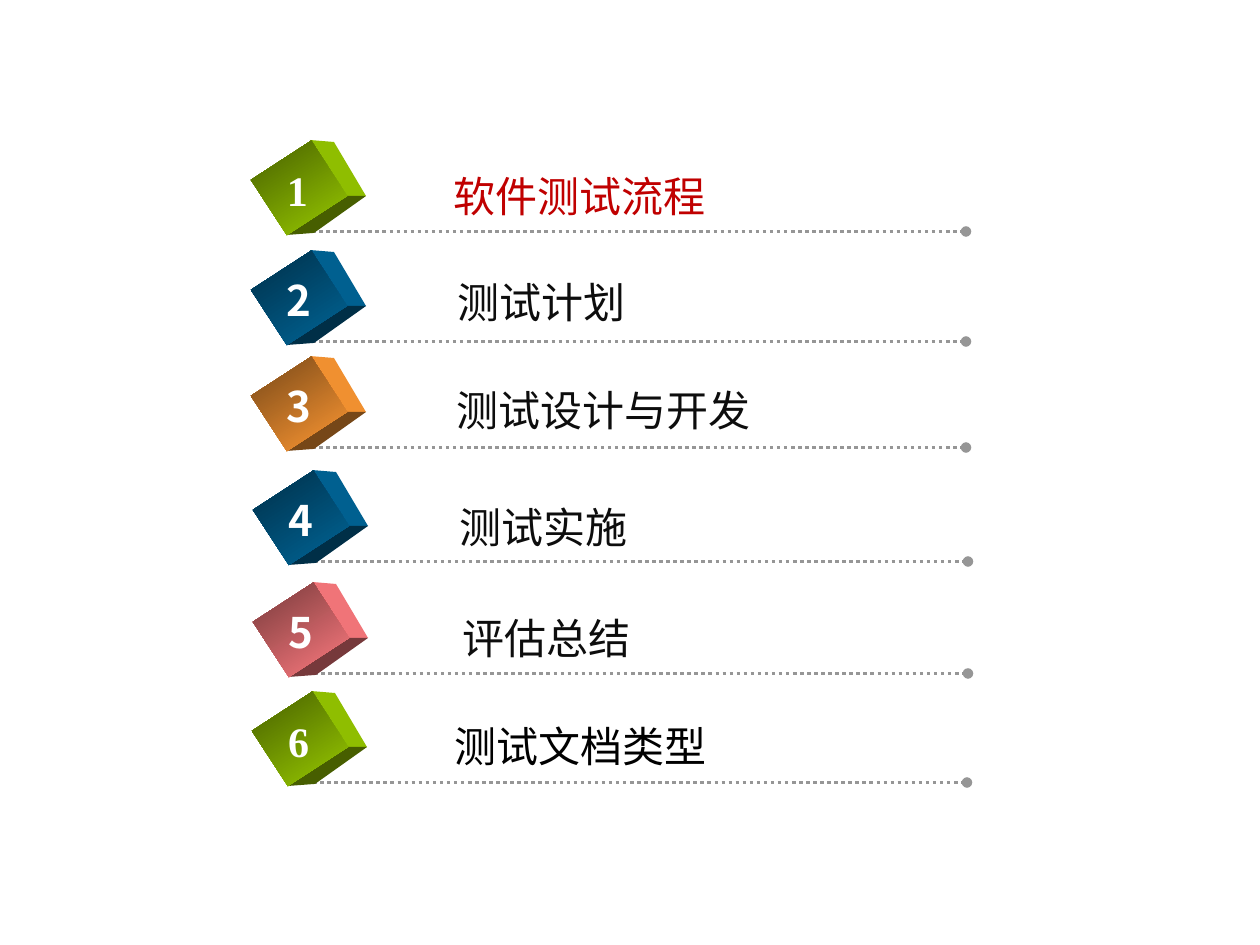
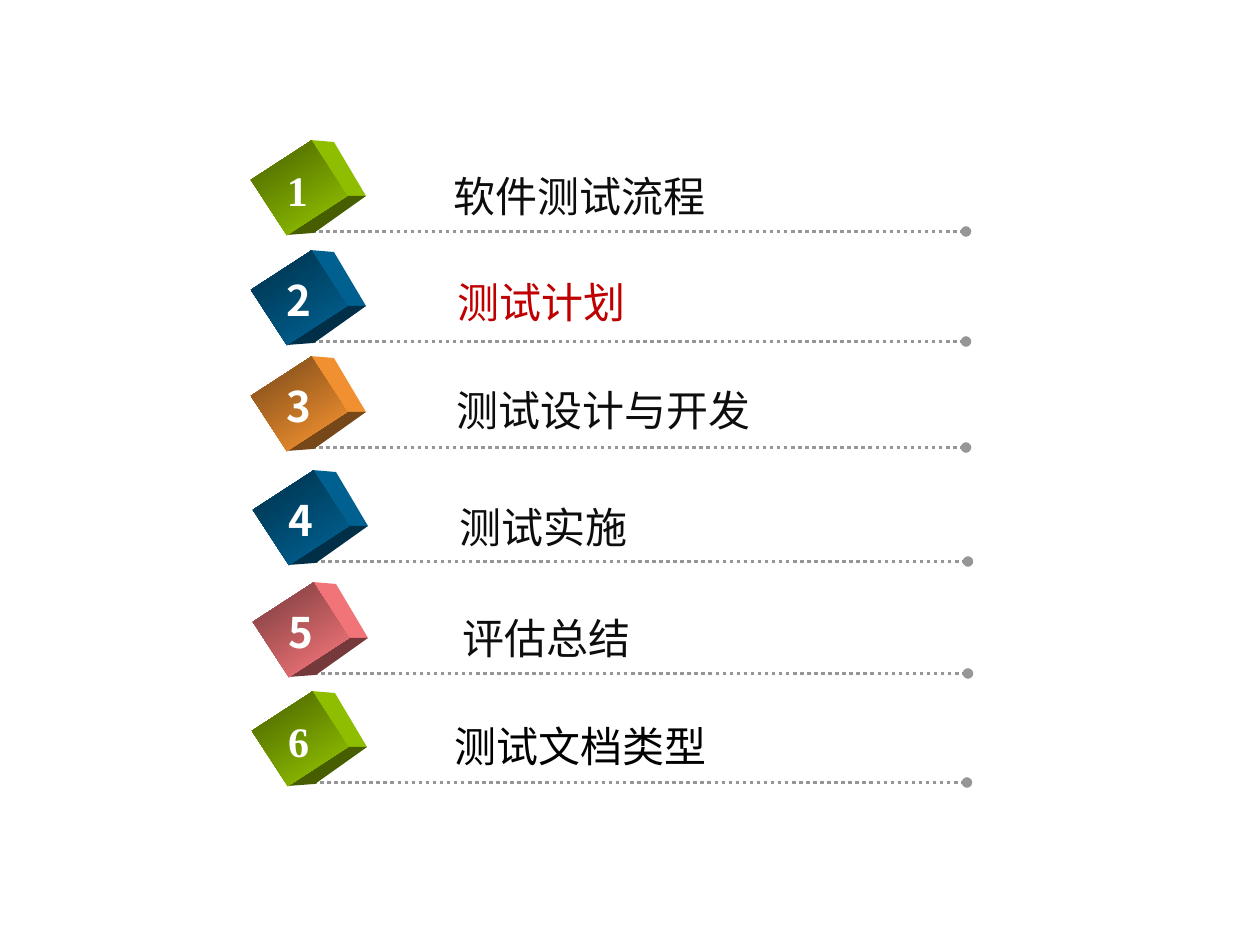
import dataclasses

import pptx
import pptx.dml.color
import pptx.enum.dml
import pptx.enum.shapes
import pptx.enum.text
import pptx.oxml
import pptx.oxml.ns
import pptx.util

EMU_PER_PX = 914400 / 126


@dataclasses.dataclass(frozen=True)
class Theme:
    white: str = "FFFFFF"
    ink: str = "0D0D0D"
    black: str = "000000"
    highlight: str = "C00000"
    rule: str = "969696"
    sans: str = "Noto Sans CJK SC"
    serif: str = "Times New Roman"
    text_size: int = 24
    rule_width: int = 2


@dataclasses.dataclass(frozen=True)
class CubePaint:
    light: str
    side: str
    dark: str


@dataclasses.dataclass(frozen=True)
class AgendaItem:
    """One chapter; label_shift is measured from the row's corner."""
    title: str
    corner: tuple
    label_shift: tuple
    paint: CubePaint
    number_font: str
    ink: str


THEME = Theme()
GREEN = CubePaint("99CC00", "8FBE00", "475E00")
BLUE = CubePaint("006699", "006090", "002F47")
ORANGE = CubePaint("FF9933", "F09030", "764718")
PINK = CubePaint("FF7C80", "F07478", "76393B")

AGENDA = [
    AgendaItem("软件测试流程", (266, 152), (175, 12), GREEN, THEME.serif, THEME.ink),
    AgendaItem("测试计划", (266, 262), (179, 8), BLUE, THEME.sans, THEME.ink),
    AgendaItem("测试设计与开发", (266, 368), (178, 10), ORANGE, THEME.sans, THEME.ink),
    AgendaItem("测试实施", (268, 482), (179, 13), BLUE, THEME.sans, THEME.ink),
    AgendaItem("评估总结", (268, 594), (182, 12), PINK, THEME.sans, THEME.ink),
    AgendaItem("测试文档类型", (267, 703), (175, 11), GREEN, THEME.serif, THEME.black),
]

CUBE_WIDTH, CUBE_HEIGHT, CUBE_ROTATION = 66, 72, 57
CUBE_RIGHT_FACE = [(44, -12), (68, -10), (100, 44), (80, 44)]
CUBE_BOTTOM_FACE = [(80, 44), (100, 44), (48, 81), (21, 83)]
CHARACTER_WIDTH, TEXT_MARGINS, TEXT_HEIGHT = 42, 27, 64


def px(*lengths):
    return [pptx.util.Emu(round(length * EMU_PER_PX)) for length in lengths]


def rgb(color):
    return pptx.dml.color.RGBColor.from_string(color)


def paint_plain(shape, color):
    shape.shadow.inherit = False
    shape.fill.solid()
    shape.fill.fore_color.rgb = rgb(color)
    shape.line.fill.background()


def add_text(shapes, text, box, font_name, color, bold=False, centred=False):
    frame = shapes.add_textbox(*px(*box)).text_frame
    frame.word_wrap = False
    frame.auto_size = pptx.enum.text.MSO_AUTO_SIZE.SHAPE_TO_FIT_TEXT
    paragraph = frame.paragraphs[0]
    if centred:
        paragraph.alignment = pptx.enum.text.PP_ALIGN.CENTER
    run = paragraph.add_run()
    run.text = text
    run.font.size = pptx.util.Pt(THEME.text_size)
    run.font.bold = bold
    run.font.color.rgb = rgb(color)
    run.font.name = font_name
    east_asian = pptx.oxml.ns.qn("a:ea")
    run.font._element.makeelement(east_asian)
    pptx.oxml.xmlchemy.OxmlElement("a:ea")
    element = pptx.oxml.xmlchemy.OxmlElement("a:ea")
    element.set("typeface", font_name)
    run.font._element.append(element)


def add_rule(shapes, left, top):
    """Dotted line from the cube's foot, ending in a dot."""
    start_x, start_y, end_x, end_y = px(left + 39, top + 79.5, left + 700, top + 79.5)
    connector = shapes.add_connector(
        pptx.enum.shapes.MSO_CONNECTOR.STRAIGHT, start_x, start_y, end_x, end_y)
    connector.line.color.rgb = rgb(THEME.rule)
    connector.line.width = pptx.util.Pt(THEME.rule_width)
    connector.line.dash_style = pptx.enum.dml.MSO_LINE.ROUND_DOT
    tail = pptx.oxml.xmlchemy.OxmlElement("a:tailEnd")
    tail.set("type", "oval")
    connector.line._get_or_add_ln().append(tail)
    connector._element.spPr.append(pptx.oxml.xmlchemy.OxmlElement("a:effectLst"))


def add_face(shapes, left, top, corners, color):
    points = [(left + x, top + y) for x, y in corners]
    builder = shapes.build_freeform(*points[0], scale=EMU_PER_PX)
    builder.add_line_segments(points[1:], close=True)
    paint_plain(builder.convert_to_shape(), color)


def add_cube(shapes, left, top, paint):
    add_face(shapes, left, top, CUBE_RIGHT_FACE, paint.side)
    add_face(shapes, left, top, CUBE_BOTTOM_FACE, paint.dark)
    front = shapes.add_shape(pptx.enum.shapes.MSO_SHAPE.RECTANGLE,
                             *px(left, top, CUBE_WIDTH, CUBE_HEIGHT))
    front.rotation = CUBE_ROTATION
    front.shadow.inherit = False
    front.line.fill.background()
    front.fill.gradient()
    front.fill.gradient_angle = 180
    for stop, color in zip(front.fill.gradient_stops, (paint.light, paint.dark)):
        stop.color.rgb = rgb(color)


def add_agenda_row(slide, number, item, highlighted):
    shapes = slide.shapes.add_group_shape().shapes
    left, top = item.corner
    shift_x, shift_y = item.label_shift
    label_width = CHARACTER_WIDTH * len(item.title) + TEXT_MARGINS
    add_rule(shapes, left, top)
    add_cube(shapes, left, top, item.paint)
    add_text(shapes, item.title, (left + shift_x, top + shift_y, label_width, TEXT_HEIGHT),
             THEME.sans, THEME.highlight if highlighted else item.ink)
    add_text(shapes, str(number), (left + 8, top + 6, 47, TEXT_HEIGHT),
             item.number_font, THEME.white, bold=True, centred=True)


def add_agenda_slide(presentation, current):
    slide = presentation.slides.add_slide(presentation.slide_layouts[6])
    title_band = slide.shapes.add_shape(
        pptx.enum.shapes.MSO_SHAPE.ROUNDED_RECTANGLE, *px(64, 86, 843, 79))
    paint_plain(title_band, THEME.white)
    for number, item in enumerate(AGENDA, start=1):
        add_agenda_row(slide, number, item, number == current)


def main():
    presentation = pptx.Presentation()
    presentation.slide_width, presentation.slide_height = px(1260, 945)
    for current in (1, 2):
        add_agenda_slide(presentation, current)
    presentation.save("out.pptx")


if __name__ == "__main__":
    main()
